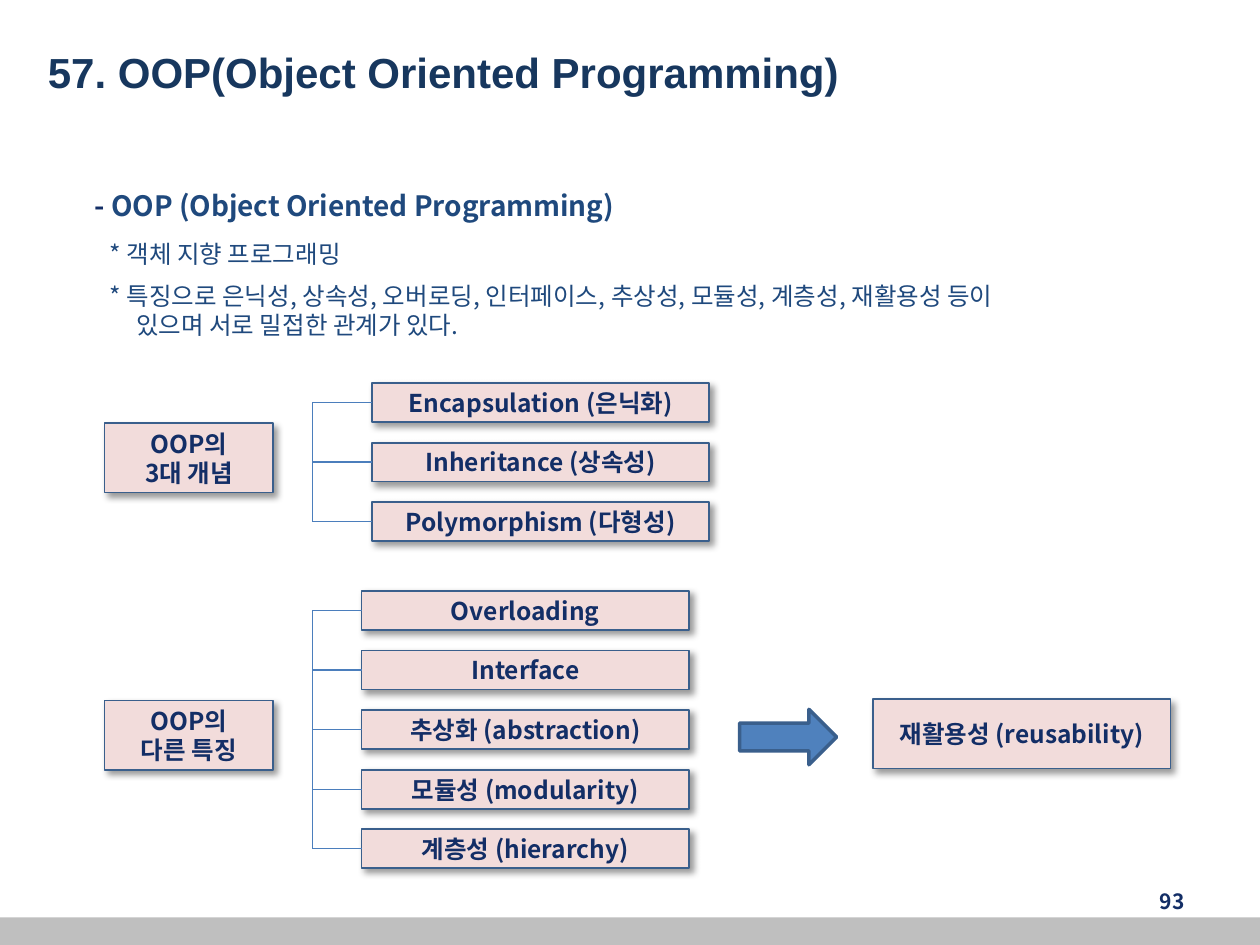
from dataclasses import dataclass

from lxml import etree
from pptx import Presentation
from pptx.dml.color import RGBColor
from pptx.enum import shapes, text
from pptx.oxml import ns
from pptx.util import Inches, Pt

SLIDE_WIDTH = Inches(10)
SLIDE_HEIGHT = Inches(7.5)
COLUMN = SLIDE_WIDTH / 100
ROW = SLIDE_HEIGHT / 75
BOX_HEIGHT = 3.1
BOX_PITCH = 4.73
LABEL_HEIGHT = 5.5
TRUNK = 24.8


@dataclass(frozen=True)
class Theme:
    title_font: str = "Arial"
    body_font: str = "Noto Sans CJK KR"
    title_color: str = "17375E"
    navy: str = "132E66"
    blue: str = "1F497D"
    box_fill: str = "F2DCDB"
    outline: str = "3A5F8C"
    arrow_fill: str = "4F81BD"
    branch: str = "4B7EBC"
    footer: str = "BFBFBF"
    shadow: str = "000000"
    title_size: int = 24
    heading_size: int = 16
    body_size: int = 14
    number_size: int = 12


THEME = Theme()


def place(left, top, width, height):
    return (round(left * COLUMN), round(top * ROW),
            round(width * COLUMN), round(height * ROW))


def move(shape, left, top, width, height):
    shape.left, shape.top, shape.width, shape.height = place(left, top, width, height)


def add_run(paragraph, content, size, color, bold=True, font=THEME.body_font):
    run = paragraph.add_run()
    run.text = content
    run.font.size = Pt(size)
    run.font.bold = bold
    run.font.name = font
    run.font.color.rgb = RGBColor.from_string(color)
    east_asian = etree.SubElement(run._r.get_or_add_rPr(), ns.qn("a:ea"))
    east_asian.set("typeface", font)


def add_shadow(shape):
    effects = shape._element.spPr.find(ns.qn("a:effectLst"))
    shadow = etree.SubElement(effects, ns.qn("a:outerShdw"), blurRad=str(Pt(4)),
                              dist=str(Pt(3)), dir="2700000", algn="tl", rotWithShape="0")
    color = etree.SubElement(shadow, ns.qn("a:srgbClr"), val=THEME.shadow)
    etree.SubElement(color, ns.qn("a:alpha"), val="40000")


def add_solid(slide, kind, area, fill, line_width=0):
    shape = slide.shapes.add_shape(kind, *place(*area))
    shape.shadow.inherit = False
    shape.fill.solid()
    shape.fill.fore_color.rgb = RGBColor.from_string(fill)
    if line_width:
        shape.line.color.rgb = RGBColor.from_string(THEME.outline)
        shape.line.width = Pt(line_width)
    else:
        shape.line.fill.background()
    return shape


def add_box(slide, area, *lines):
    box = add_solid(slide, shapes.MSO_SHAPE.RECTANGLE, area, THEME.box_fill, 1)
    add_shadow(box)
    frame = box.text_frame
    frame.word_wrap = True
    frame.vertical_anchor = text.MSO_ANCHOR.MIDDLE
    for index, line in enumerate(lines):
        paragraph = frame.add_paragraph() if index else frame.paragraphs[0]
        paragraph.alignment = text.PP_ALIGN.CENTER
        add_run(paragraph, line, THEME.body_size, THEME.navy)


def add_branch(slide, start, end):
    ends = place(*start, *end)
    line = slide.shapes.add_connector(shapes.MSO_CONNECTOR.STRAIGHT, *ends)
    line.line.color.rgb = RGBColor.from_string(THEME.branch)
    line.line.width = Pt(0.75)
    etree.SubElement(line._element.spPr, ns.qn("a:effectLst"))


def add_tree(slide, label, label_top, left, top, width, items):
    add_box(slide, (8.3, label_top, 13.4, LABEL_HEIGHT), *label)
    tops = [top + index * BOX_PITCH for index in range(len(items))]
    centers = [item_top + BOX_HEIGHT / 2 for item_top in tops]
    for item, item_top in zip(items, tops):
        add_box(slide, (left, item_top, width, BOX_HEIGHT), item)
    add_branch(slide, (TRUNK, centers[0]), (TRUNK, centers[-1]))
    for center in centers:
        add_branch(slide, (TRUNK, center), (left, center))


def add_title(slide, content):
    title = slide.shapes.title
    move(title, 2.8, 1.3, 77.6, 8.7)
    frame = title.text_frame
    frame.auto_size = text.MSO_AUTO_SIZE.NONE
    frame.vertical_anchor = text.MSO_ANCHOR.MIDDLE
    paragraph = frame.paragraphs[0]
    paragraph.alignment = text.PP_ALIGN.LEFT
    add_run(paragraph, content, THEME.title_size, THEME.title_color, font=THEME.title_font)


def format_line(paragraph, indent, space_before):
    properties = paragraph._p.get_or_add_pPr()
    properties.set("marL", str(round(indent * COLUMN)))
    properties.set("indent", "0")
    etree.SubElement(properties, ns.qn("a:buNone"))
    paragraph.space_before = Pt(space_before)


def add_body(slide):
    body = slide.placeholders[1]
    move(body, 5.5, 14.5, 87.4, 13.1)
    frame = body.text_frame
    frame.auto_size = text.MSO_AUTO_SIZE.NONE
    heading = frame.paragraphs[0]
    format_line(heading, 1, 0)
    add_run(heading, "-", THEME.heading_size, THEME.navy)
    add_run(heading, " OOP (Object Oriented Programming)", THEME.heading_size, THEME.blue)
    lines = [
        ("* 객체 지향 프로그래밍", 2.2, 9.5),
        ("* 특징으로 은닉성, 상속성, 오버로딩, 인터페이스, 추상성, 모듈성, 계층성, 재활용성 등이", 2.2, 7),
        ("있으며 서로 밀접한 관계가 있다.", 4.3, 0),
    ]
    for content, indent, space_before in lines:
        paragraph = frame.add_paragraph()
        format_line(paragraph, indent, space_before)
        add_run(paragraph, content, THEME.body_size, THEME.blue, bold=False)


def add_footer(slide, number):
    add_solid(slide, shapes.MSO_SHAPE.RECTANGLE, (0, 72.8, 100, 2.2), THEME.footer)
    box = slide.shapes.add_textbox(*place(71.7, 69.5, 23.3, 4))
    frame = box.text_frame
    frame.word_wrap = True
    frame.vertical_anchor = text.MSO_ANCHOR.MIDDLE
    paragraph = frame.paragraphs[0]
    paragraph.alignment = text.PP_ALIGN.RIGHT
    add_run(paragraph, number, THEME.number_size, THEME.navy)


def main():
    presentation = Presentation()
    presentation.slide_width = SLIDE_WIDTH
    presentation.slide_height = SLIDE_HEIGHT
    slide = presentation.slides.add_slide(presentation.slide_layouts[1])
    add_title(slide, "57. OOP(Object Oriented Programming)")
    add_body(slide)
    add_footer(slide, "93")
    add_tree(slide, ("OOP의", "3대 개념"), 33.6, 29.5, 30.4, 26.8,
             ["Encapsulation (은닉화)", "Inheritance (상속성)", "Polymorphism (다형성)"])
    add_tree(slide, ("OOP의", "다른 특징"), 55.6, 28.7, 46.9, 26,
             ["Overloading", "Interface", "추상화 (abstraction)",
              "모듈성 (modularity)", "계층성 (hierarchy)"])
    add_solid(slide, shapes.MSO_SHAPE.RIGHT_ARROW, (58.7, 56.3, 7.7, 4.4), THEME.arrow_fill, 2)
    add_box(slide, (69.3, 55.5, 23.6, LABEL_HEIGHT), "재활용성 (reusability)")
    presentation.save("out.pptx")


if __name__ == "__main__":
    main()
